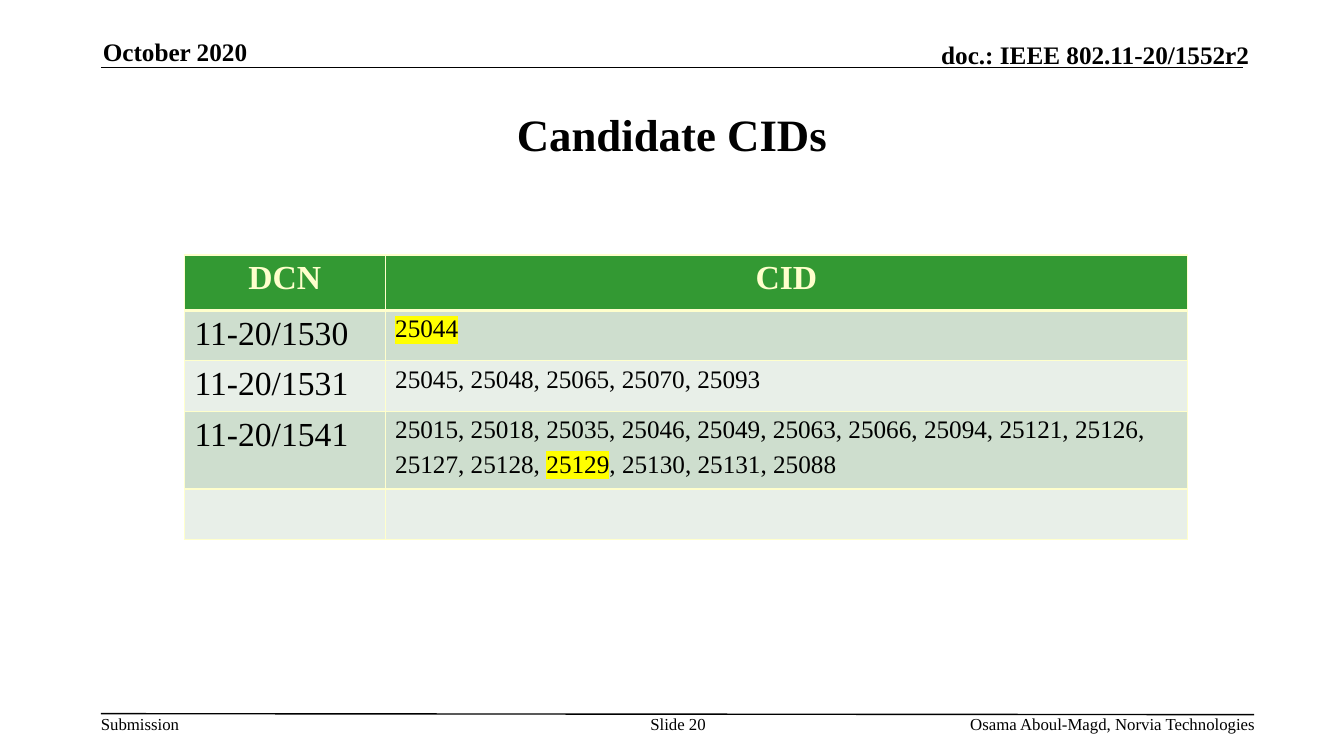
from lxml.etree import SubElement
from pptx import Presentation
from pptx.dml.color import RGBColor
from pptx.enum.text import MSO_ANCHOR as Anchor, PP_ALIGN as Align
from pptx.oxml.ns import qn
from pptx.util import Inches, Pt

FONT = "Times New Roman"
BLACK, CREAM, GREEN, YELLOW = "000000", "FFFFCC", "339933", "FFFF00"
BANDS = ["CEDECE", "E8EFE8"]

HEADINGS = ["DCN", "CID"]
# Each row: DCN, then lines of CIDs; asterisks enclose highlighted CIDs
CANDIDATES = [
    ("11-20/1530", ["*25044*"]),
    ("11-20/1531", ["25045, 25048, 25065, 25070, 25093"]),
    ("11-20/1541", [
        "25015, 25018, 25035, 25046, 25049, 25063, 25066, 25094, 25121, 25126,",
        "25127, 25128, *25129*, 25130, 25131, 25088"]),
    ("", [""]),
]
COLUMN_WIDTHS = [1.99, 7.96]
ROW_HEIGHTS = [0.55, 0.47, 0.47, 0.74, 0.47]


def rgb(color):
    return RGBColor.from_string(color)


def style(paragraph, size, bold=False, color=BLACK, align=Align.LEFT):
    paragraph.alignment = align
    font = paragraph.font
    font.name, font.size, font.bold = FONT, Pt(size), bold
    font.color.rgb = rgb(color)


def add_label(slide, text, left, top, width, height, size, bold=False,
              align=Align.LEFT, anchor=Anchor.TOP):
    label = slide.shapes.add_textbox(*map(Inches, (left, top, width, height)))
    frame = label.text_frame
    frame.margin_left = frame.margin_right = 0
    frame.margin_top = frame.margin_bottom = 0
    frame.word_wrap = True
    frame.vertical_anchor = anchor
    frame.text = text
    style(frame.paragraphs[0], size, bold, align=align)


def add_rule(slide, left, top, right, bottom):
    rule = slide.shapes.add_connector(1, *map(Inches, (left, top, right, bottom)))
    rule.line.color.rgb = rgb(BLACK)
    rule.line.width = Pt(1)
    SubElement(rule._element.spPr, qn("a:effectLst"))


def add_color(parent, tag, color):
    holder = SubElement(parent, qn(tag))
    SubElement(holder, qn("a:srgbClr"), val=color)
    return holder


def paint_cell(cell, fill, top_width, bottom_width):
    properties = cell._tc.get_or_add_tcPr()
    widths = {"a:lnL": 1, "a:lnR": 1, "a:lnT": top_width, "a:lnB": bottom_width}
    for side, width in widths.items():
        border = SubElement(properties, qn(side), w=str(Pt(width)))
        add_color(border, "a:solidFill", CREAM)
    cell.fill.solid()
    cell.fill.fore_color.rgb = rgb(fill)


def write_cids(frame, lines):
    for number, line in enumerate(lines):
        paragraph = frame.add_paragraph() if number else frame.paragraphs[0]
        if number:
            paragraph.space_before = Pt(5)
        for part, text in enumerate(line.split("*")):
            if text:
                run = paragraph.add_run()
                run.text = text
                if part % 2:
                    add_color(run._r.get_or_add_rPr(), "a:highlight", YELLOW)
        style(paragraph, 18)


def add_candidates(slide):
    table = slide.shapes.add_table(
        len(ROW_HEIGHTS), len(COLUMN_WIDTHS), Inches(1.83), Inches(2.53),
        Inches(sum(COLUMN_WIDTHS)), Inches(sum(ROW_HEIGHTS))).table
    table.first_row = table.horz_banding = False
    for column, width in zip(table.columns, COLUMN_WIDTHS):
        column.width = Inches(width)
    for row, height in zip(table.rows, ROW_HEIGHTS):
        row.height = Inches(height)

    # Heading row
    for column, heading in enumerate(HEADINGS):
        cell = table.cell(0, column)
        cell.text = heading
        style(cell.text_frame.paragraphs[0], 24, True, CREAM, Align.CENTER)
        paint_cell(cell, GREEN, 1, 3)

    # Candidate rows
    for row, (dcn, cids) in enumerate(CANDIDATES, 1):
        dcn_cell, cid_cell = table.cell(row, 0), table.cell(row, 1)
        dcn_cell.text = dcn
        style(dcn_cell.text_frame.paragraphs[0], 24)
        write_cids(cid_cell.text_frame, cids)
        for cell in (dcn_cell, cid_cell):
            paint_cell(cell, BANDS[(row - 1) % 2], 3 if row == 1 else 1, 1)


def add_title(slide, text):
    title = slide.shapes.title
    title.left, title.top = Inches(1), Inches(0.75)
    title.width, title.height = Inches(11.33), Inches(1.16)
    title.text_frame.text = text
    title.text_frame.vertical_anchor = Anchor.MIDDLE
    style(title.text_frame.paragraphs[0], 32, True, align=Align.CENTER)


def main():
    deck = Presentation()
    deck.slide_width, deck.slide_height = Inches(13.33), Inches(7.5)
    slide = deck.slides.add_slide(deck.slide_layouts[5])

    # Header
    add_rule(slide, 1, 0.67, 12.33, 0.67)
    add_label(slide, "October 2020", 1.02, 0.36, 2.73, 0.3, 18, True,
              anchor=Anchor.BOTTOM)
    add_label(slide, "doc.: IEEE 802.11-20/1552r2", 7.29, 0.39, 5.1, 0.3, 18,
              True, Align.RIGHT, Anchor.BOTTOM)

    # Content
    add_title(slide, "Candidate CIDs")
    add_candidates(slide)

    # Footer
    add_rule(slide, 1, 7.08, 12.44, 7.09)
    add_label(slide, "Submission", 1, 7.08, 0.79, 0.2, 12)
    add_label(slide, "Slide 20", 6.34, 7.08, 0.77, 0.4, 12, align=Align.CENTER)
    add_label(slide, "Osama Aboul-Magd, Norvia Technologies", 7.81, 7.08, 4.64,
              0.2, 12, align=Align.RIGHT)

    deck.save("out.pptx")


if __name__ == "__main__":
    main()
